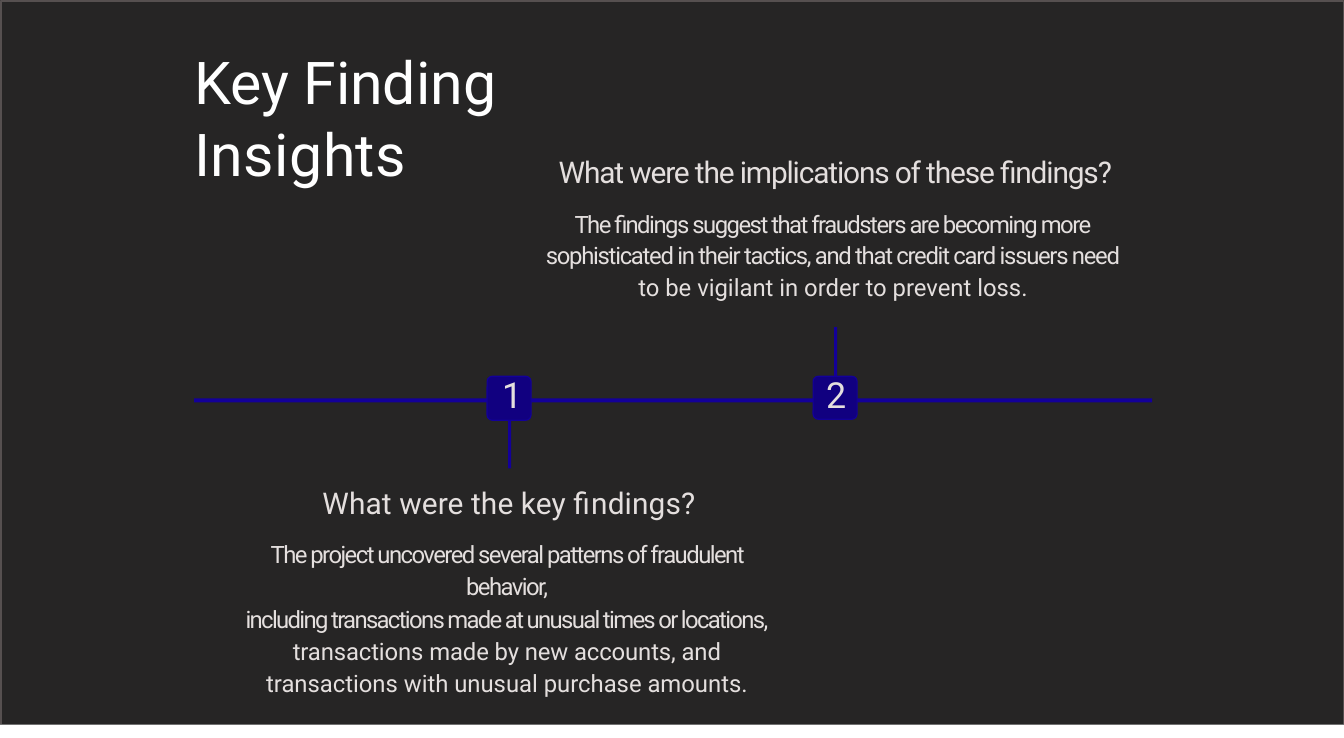
"""Build the Key Finding Insights timeline slide."""
from copy import deepcopy

from pptx import Presentation
from pptx.dml.color import RGBColor as RGB
from pptx.enum.shapes import MSO_SHAPE as SHAPE
from pptx.enum.text import PP_ALIGN as ALIGN
from pptx.oxml.ns import qn
from pptx.util import Inches, Pt

PX = 8506
COLORS = {
    "background": "262525",
    "border": "565050",
    "line": "130099",
    "badge": "110080",
    "title": "FFFFFF",
    "text": "E4DFDE",
}

prs = Presentation()
prs.slide_width, prs.slide_height = Inches(12.5), Inches(6.86)
s = prs.slides.add_slide(prs.slide_layouts[6])


def add_box(kind, box, fill, line=None):
    """Add a filled preset shape."""
    sp = s.shapes.add_shape(kind, *[n * PX for n in box])
    sp.shadow.inherit = False
    sp.fill.solid()
    sp.fill.fore_color.rgb = RGB.from_string(COLORS[fill])
    if line:
        sp.line.color.rgb = RGB.from_string(COLORS[line])
        sp.line.width = Pt(0.75)
    else:
        sp.line.fill.background()
    return sp


def add_text(box, paragraphs, color="text", align=ALIGN.CENTER):
    """Add paragraphs of (lines, size, space before, line spacing, indent, tracking)."""
    tf = s.shapes.add_textbox(*[n * PX for n in box]).text_frame
    tf.word_wrap = align == ALIGN.LEFT
    tf.margin_left = tf.margin_right = tf.margin_bottom = 0
    tf.margin_top = PX
    for i, (lines, size, before, spacing, indent, tracking) in enumerate(paragraphs):
        p = tf.add_paragraph() if i else tf.paragraphs[0]
        p.text = "\v".join(lines)
        p.alignment = align
        p.space_before = Pt(before)
        p.line_spacing = spacing
        p._p.get_or_add_pPr().set("marL", str(indent * PX))
        for r, track in zip(p.runs, tracking):
            r.font.name = "Roboto"
            r.font.size = Pt(size)
            r.font.color.rgb = RGB.from_string(COLORS[color])
            r._r.get_or_add_rPr().set("spc", str(track))
        for br in p._p.findall(qn("a:br")):
            br.insert(0, deepcopy(p.runs[0]._r.rPr))


add_box(SHAPE.RECTANGLE, (0, 0, 1344, 724), "background")
fb = s.shapes.build_freeform(1, 723, scale=PX)
fb.add_line_segments([(1, 1), (1343, 1), (1343, 723)], close=False)
border = fb.convert_to_shape()
border.shadow.inherit = False
border.fill.background()
border.line.color.rgb = RGB.from_string(COLORS["border"])
border.line.width = Pt(0.75)

add_text((192, 43, 472, 146), [(["Key Finding", "Insights"], 39.5, 1.4, 1.02, 2, [0, 40])],
         "title", ALIGN.LEFT)

add_box(SHAPE.RECTANGLE, (194, 398, 958, 4), "line")

milestones = [
    {
        "number": "1", "badge": (487, 376, 44, 44), "stem": (508, 402, 3, 66),
        "number_box": (502, 371, 18, 46), "box": (227, 483, 559, 184),
        "question": "What were the key findings?", "question_track": 5,
        "answer": [
            "The project uncovered several patterns of fraudulent behavior,",
            "including transactions made at unusual times or locations,",
            "transactions made by new accounts, and",
            "transactions with unusual purchase amounts.",
        ],
        "tracks": [-103, -110, -5, 0], "before": 10.4, "spacing": 1.13,
    },
    {
        "number": "2", "badge": (813, 376, 44, 43), "stem": (834, 327, 3, 71),
        "number_box": (825, 371, 22, 46), "box": (542, 153, 581, 150),
        "question": "What were the implications of these findings?", "question_track": -80,
        "answer": [
            "The findings suggest that fraudsters are becoming more",
            "sophisticated in their tactics, and that credit card issuers need",
            "to be vigilant in order to prevent loss.",
        ],
        "tracks": [-100, -86, 0], "before": 10.8, "spacing": 1.11,
    },
]

for m in milestones:
    add_box(SHAPE.RECTANGLE, m["stem"], "line")
    badge = add_box(SHAPE.ROUNDED_RECTANGLE, m["badge"], "badge", "line")
    badge.adjustments[0] = 0.12
    add_text(m["number_box"], [([m["number"]], 24, 0.9, 1.0, 0, [0])])
    add_text(m["box"], [
        ([m["question"]], 20, 0.9, 1.0, 5, [m["question_track"]]),
        (m["answer"], 16, m["before"], m["spacing"], 1, m["tracks"]),
    ])

prs.save("out.pptx")
